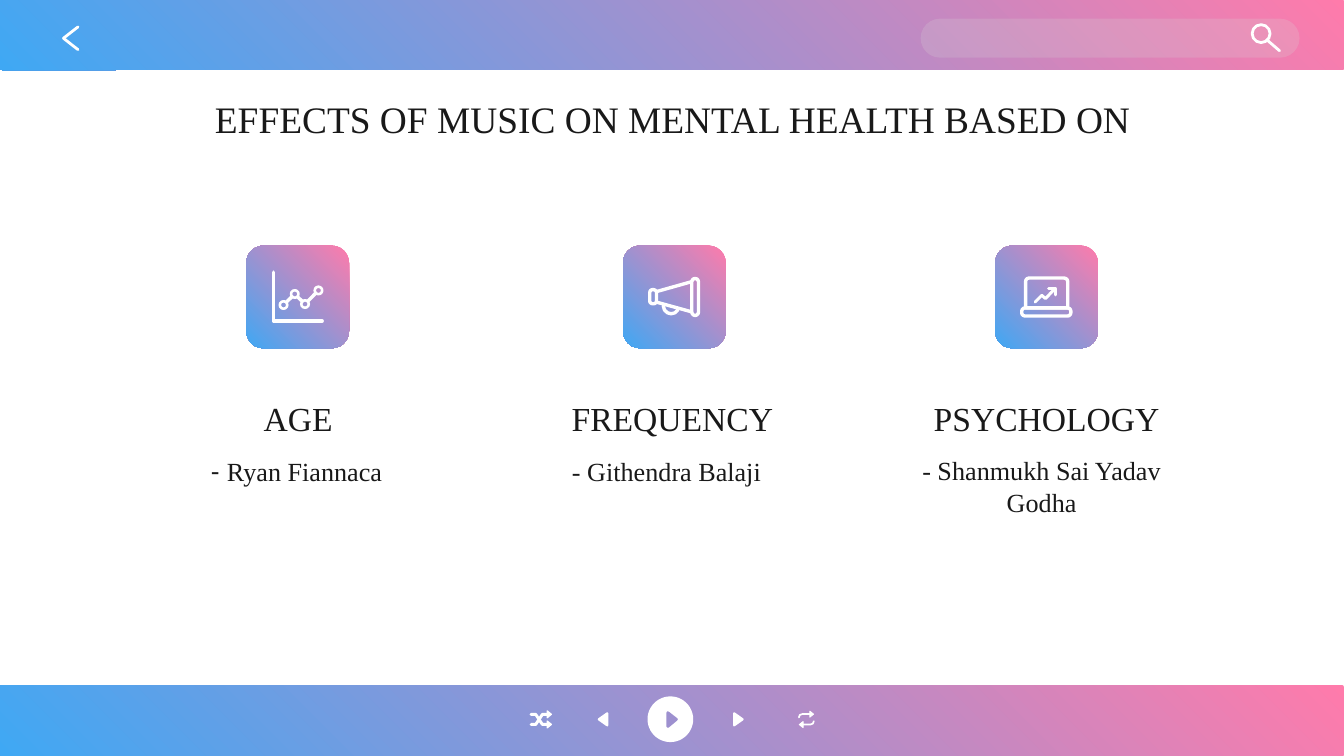
import math
from itertools import pairwise

from lxml import etree
from pptx import Presentation
from pptx import util as u
from pptx.dml import color as c
from pptx.enum import shapes as s, text as t
from pptx.oxml import ns

PINK = c.RGBColor(0xFF, 0x7B, 0xAB)
BLUE = c.RGBColor(0x3F, 0xA8, 0xF4)
MAUVE = c.RGBColor(0x9D, 0x90, 0xCF)
GREY = c.RGBColor(0xD9, 0xD9, 0xD9)
WHITE = c.RGBColor(0xFF, 0xFF, 0xFF)
INK = c.RGBColor(0x19, 0x19, 0x19)
ROUND = s.MSO_SHAPE.ROUNDED_RECTANGLE
OVAL = s.MSO_SHAPE.OVAL
SERIF = "Times New Roman"


class Deck:
    def __init__(self, wide, high):
        self.file = Presentation()
        self.file.slide_width = u.Pt(wide)
        self.file.slide_height = u.Pt(high)
        self.slide = self.file.slides.add_slide(self.file.slide_layouts[6])
        self.items = self.slide.shapes

    def paint(self, item, fill, width, tone=WHITE):
        item.shadow.inherit = False
        if fill is None:
            item.fill.background()
        else:
            item.fill.solid()
            item.fill.fore_color.rgb = fill
        self.pen(item, width, tone)
        return item

    def pen(self, item, width, tone=WHITE):
        if not width:
            item.line.fill.background()
            return
        item.line.color.rgb = tone
        item.line.width = u.Pt(width)
        edge = item._element.spPr.get_or_add_ln()
        edge.set("cap", "rnd")
        etree.SubElement(edge, ns.qn("a:round"))

    def shape(self, kind, box, fill=None, width=0, bend=None):
        item = self.items.add_shape(kind, *map(u.Pt, box))
        if bend is not None:
            item.adjustments[0] = bend
        return self.paint(item, fill, width)

    def blend(self, box, bend):
        item = self.shape(ROUND, box, bend=bend)
        item.fill.gradient()
        item.fill.gradient_angle = 225
        for stop, tone in zip(item.fill.gradient_stops, (PINK, BLUE)):
            stop.color.rgb = tone

    def ring(self, x, y, size, width):
        self.shape(OVAL, (x - size, y - size, 2 * size, 2 * size), width=width)

    def line(self, start, end, width):
        item = self.items.add_connector(
            s.MSO_CONNECTOR.STRAIGHT, *map(u.Pt, (*start, *end)))
        self.pen(item, width)
        etree.SubElement(item._element.spPr, ns.qn("a:effectLst"))

    def trace(self, spots, width, fill=None, tone=WHITE):
        first, *rest = [(u.Pt(x), u.Pt(y)) for x, y in spots]
        path = self.items.build_freeform(*first)
        path.add_line_segments(rest, close=fill is not None)
        self.paint(path.convert_to_shape(), fill, width, tone)

    def style(self, run, size, face):
        run.font.size = u.Pt(size)
        run.font.name = face
        run.font.color.rgb = INK

    def words(self, box, copy, size, top=0, anchor=t.MSO_ANCHOR.TOP, face=SERIF):
        frame = self.items.add_textbox(*map(u.Pt, box)).text_frame
        frame.word_wrap = True
        frame.vertical_anchor = anchor
        frame.margin_left = frame.margin_right = frame.margin_bottom = u.Pt(7.2)
        frame.margin_top = u.Pt(top)
        frame.text = copy
        line = frame.paragraphs[0]
        line.alignment = t.PP_ALIGN.CENTER
        self.style(line.runs[0], size, face)
        return line


def header(deck):
    deck.blend((0, -0.5, 720, 38), 0.03)
    field = deck.shape(ROUND, (493.2, 10, 203, 20.9), GREY, bend=0.5)
    tint = field._element.spPr.find(".//" + ns.qn("a:srgbClr"))
    etree.SubElement(tint, ns.qn("a:alpha")).set("val", "21000")
    deck.ring(675.6, 18, 4.8, 1.5)
    deck.line((679, 21.6), (685.5, 27.2), 1.5)
    for y in (14.4, 26.6):
        deck.line((34, 20.5), (41.8, y), 1.5)


def player(deck):
    deck.blend((0, 367, 720, 38), 0.03)
    mid = 385.4
    for way in (1, -1):
        loop = [(-4, -1), (-3.5, -2.3), (-2.2, -2.8), (2, -2.8)]
        tip = [(1.8, -4.4), (3.8, -2.8), (1.8, -1.2)]
        turn = lambda spots: [(432 + way * x, mid + way * y) for x, y in spots]
        deck.trace(turn(loop), 0.9)
        deck.trace(turn(tip), 0.5, WHITE)

        end = mid + way * 2.7
        deck.trace([(284.5, mid - way * 2.7), (287, mid - way * 2.7),
                    (290.6, end), (293, end)], 1.6)
        deck.trace([(293.2, end - 1.8), (295.4, end), (293.2, end + 1.8)],
                   0.7, WHITE)

        flat = 359.3 + way * 34
        deck.trace([(flat, mid - 3.2), (flat, mid + 3.2),
                    (flat + way * 4.5, mid)], 1.2, WHITE)
    deck.shape(OVAL, (346.9, 373.1, 24.5, 24.5), WHITE)
    deck.trace([(357.8, 381.8), (357.8, 389.2), (362.4, mid)], 1.5, MAUVE, MAUVE)


def chart(deck):
    deck.trace([(146.5, 145.8), (146.5, 172), (172.6, 172)], 1.8)
    spots = [(151.9, 163.4), (157.9, 157.5), (163.4, 162.9), (170.6, 155.6)]
    for spot in spots:
        deck.ring(*spot, 2, 1.4)
    for (x, y), (x2, y2) in pairwise(spots):
        span = math.hypot(x2 - x, y2 - y)
        dx, dy = 2.2 * (x2 - x) / span, 2.2 * (y2 - y) / span
        deck.line((x + dx, y + dy), (x2 - dx, y2 - dy), 1.8)


def horn(deck):
    deck.shape(ROUND, (348.1, 155.2, 3.6, 7.5), width=1.8, bend=0.4)
    deck.shape(ROUND, (370.6, 149.2, 3.6, 19.8), width=1.8, bend=0.5)
    deck.line((351.8, 156.2), (370.6, 150.9), 1.8)
    deck.line((351.8, 161.9), (370.6, 167.1), 1.8)
    deck.trace([(355.3, 163.8), (356, 166.1), (357.6, 167.6), (359.6, 168.1),
                (361.6, 167.6), (363.2, 166)], 1.8)


def laptop(deck):
    deck.shape(s.MSO_SHAPE.ROUND_2_SAME_RECTANGLE, (549.4, 149, 22.6, 16),
               width=1.8, bend=0.12)
    deck.shape(ROUND, (547.4, 165, 26.3, 4.3), width=1.8, bend=0.4)
    deck.trace([(554.5, 161.8), (558.1, 158.2), (560.1, 160), (565.3, 154.4)], 1.6)
    deck.trace([(561.7, 154.4), (565.3, 154.4), (565.3, 158)], 1.6)


def main():
    deck = Deck(720, 405)
    header(deck)
    player(deck)
    deck.words((57, 41.5, 607, 44.5), "EFFECTS OF MUSIC ON MENTAL HEALTH BASED ON",
               20, 7.2, t.MSO_ANCHOR.MIDDLE)

    topics = [("AGE", 74, 132, chart), ("FREQUENCY", 274.5, 333.8, horn),
              ("PSYCHOLOGY", 475, 533.2, laptop)]
    for name, left, tile, icon in topics:
        deck.words((left, 212.4, 171.4, 30.2), name, 18, anchor=t.MSO_ANCHOR.MIDDLE)
        deck.blend((tile, 131.6, 55, 55), 0.167)
        icon(deck)

    deck.words((271.4, 244.1, 171.4, 57.6), "- Githendra Balaji", 14)
    deck.words((472.3, 243.7, 171.4, 57.6), "- Shanmukh Sai Yadav Godha", 14)
    line = deck.words((67.7, 236.9, 171.4, 57.6), "- ", 14, 7.2, face="Lato")
    name = line.add_run()
    name.text = "Ryan Fiannaca"
    deck.style(name, 14, SERIF)
    inset = line._p.get_or_add_pPr()
    inset.set("marL", str(u.Pt(36)))
    inset.set("indent", str(u.Pt(-25.2)))

    deck.file.save("out.pptx")


if __name__ == "__main__":
    main()
